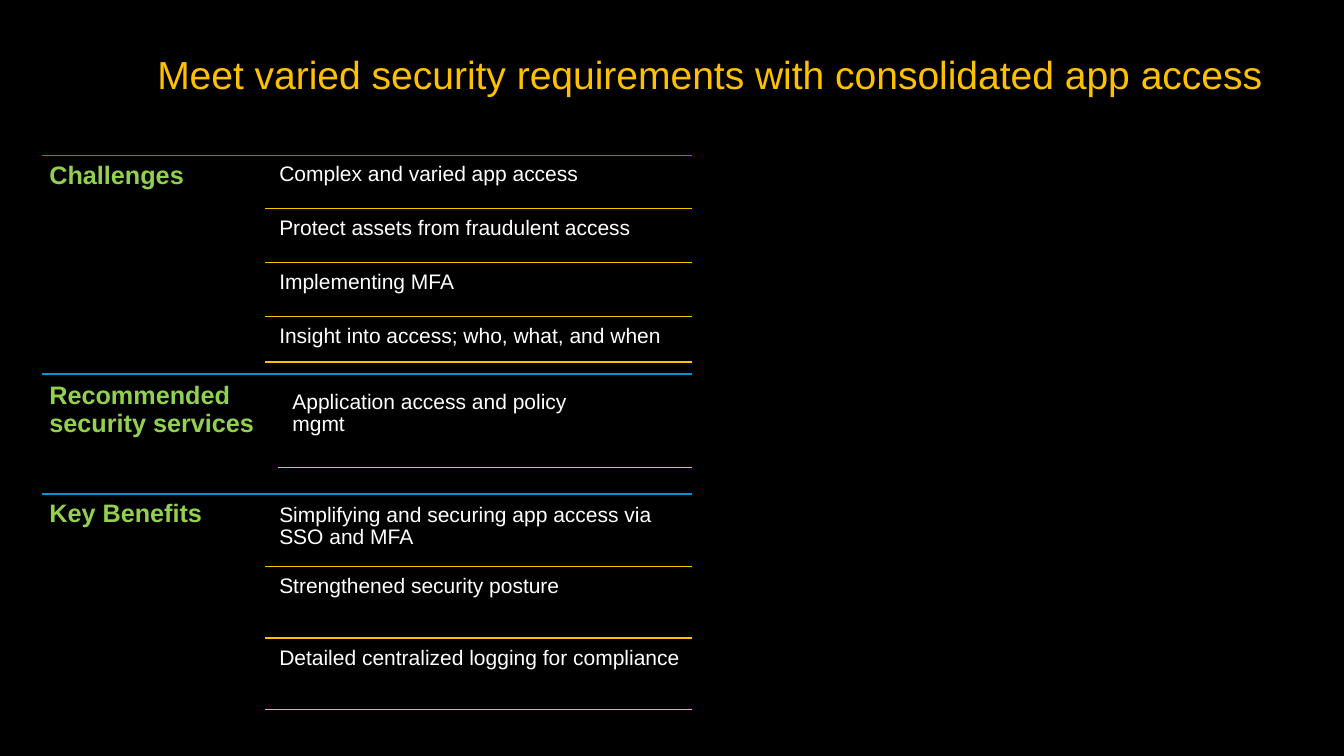
from dataclasses import dataclass

from lxml import etree
from pptx import Presentation
from pptx.dml.color import RGBColor
from pptx.enum.shapes import MSO_CONNECTOR
from pptx.enum.text import MSO_ANCHOR
from pptx.oxml.ns import qn
from pptx.util import Inches, Pt

STRAIGHT = MSO_CONNECTOR.STRAIGHT
TOP = MSO_ANCHOR.TOP

FONT = "Arial"
BLACK, WHITE = "000000", "FFFFFF"
AMBER, GREEN, BLUE = "FFC000", "92D050", "0194D2"

LEFT, RIGHT = 0.42, 6.86
RULE_OUTDENT = 0.08


@dataclass
class Section:
    """One labelled block; lengths in inches, last_rule is the final amber line."""
    label: str
    items: list
    top: float
    label_box: tuple
    item_left: float
    item_width: float
    first_row: float
    row_height: float
    row_pitch: float
    last_rule: float


SECTIONS = [
    Section("Challenges",
            ["Complex and varied app access",
             "Protect assets from fraudulent access",
             "Implementing MFA",
             "Insight into access; who, what, and when"],
            1.54, (LEFT, 1.54, 2.21, 2.17), 2.71, 4.15, 1.56, 0.51, 0.535, 3.59),
    Section("Recommended security services",
            ["Application access and policy mgmt"],
            3.71, (LEFT, 3.73, 2.35, 1.18), 2.84, 2.99, 3.82, 0.98, 0.98, 4.64),
    Section("Key Benefits",
            ["Simplifying and securing app access via SSO and MFA",
             "Strengthened security posture",
             "Detailed centralized logging for compliance"],
            4.9, (LEFT, 4.9, 2.22, 2.17), 2.71, 4.15, 4.94, 0.68, 0.71, 7.04),
]


def color(hex_value):
    return RGBColor.from_string(hex_value)


def add_text(slide, box, text, size, hex_value, inset, bold=False):
    shape = slide.shapes.add_textbox(*(Inches(length) for length in box))
    frame = shape.text_frame
    frame.word_wrap = True
    frame.vertical_anchor = TOP
    frame.margin_left = frame.margin_right = Inches(inset)
    frame.margin_top = frame.margin_bottom = Inches(inset)
    paragraph = frame.paragraphs[0]
    paragraph.line_spacing = 0.9
    run = paragraph.add_run()
    run.text = text
    run.font.name = FONT
    run.font.size = Pt(size)
    run.font.bold = bold
    run.font.color.rgb = color(hex_value)


def add_rule(slide, left, top, hex_value):
    """Draw a horizontal line from left to the right edge of the list."""
    rule = slide.shapes.add_connector(
        STRAIGHT, Inches(left), Inches(top), Inches(RIGHT), Inches(top))
    rule.line.color.rgb = color(hex_value)
    rule.line.width = Pt(1)
    etree.SubElement(rule._element.spPr, qn("a:effectLst"))


def add_section(slide, section):
    add_rule(slide, LEFT, section.top, BLUE)
    add_text(slide, section.label_box, section.label, 18, GREEN, 0.07, bold=True)
    last = len(section.items) - 1
    for index, item in enumerate(section.items):
        row_top = section.first_row + index * section.row_pitch
        row_box = (section.item_left, row_top, section.item_width, section.row_height)
        add_text(slide, row_box, item, 15, WHITE, 0.06)
        rule_top = section.last_rule if index == last else row_top + section.row_height
        add_rule(slide, section.item_left - RULE_OUTDENT, rule_top, AMBER)


def main():
    presentation = Presentation()
    presentation.slide_width = Inches(13.33)
    presentation.slide_height = Inches(7.5)
    slide = presentation.slides.add_slide(presentation.slide_layouts[6])
    slide.background.fill.solid()
    slide.background.fill.fore_color.rgb = color(BLACK)

    add_text(slide, (1.39, 0.38, 11.8, 1),
             "Meet varied security requirements with consolidated app access",
             27.9, AMBER, 0.17)
    for section in SECTIONS:
        add_section(slide, section)
    presentation.save("out.pptx")


if __name__ == "__main__":
    main()
